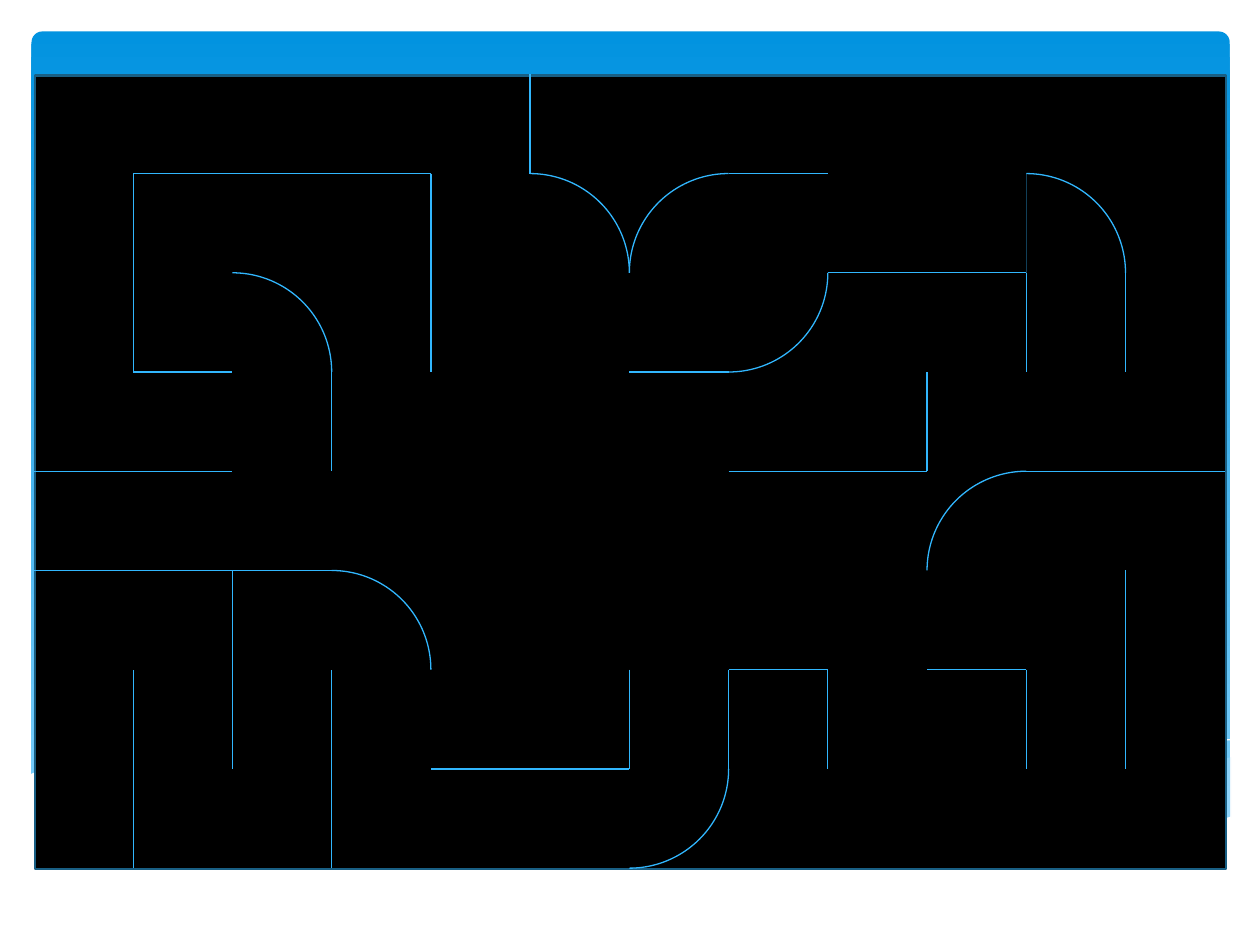
from lxml.etree import SubElement
from pptx import Presentation
from pptx.dml.color import RGBColor
from pptx.enum.shapes import MSO_CONNECTOR as CONN, MSO_SHAPE as SHAPE
from pptx.oxml.ns import qn
from pptx.util import Inches, Pt

COLORS = {
    "sky": "0293E0", "pale": "83D3FE", "mist": "C6E7FC", "white": "FFFFFF",
    "board": "000000", "frame": "195F84", "track": "31B6FD",
}
COLS, ROWS = 12, 8
BOARD = (0.28, 0.6, 9.45, 6.3)
CELL = BOARD[3] / ROWS
GRID_X, GRID_Y = 0.27, 0.59

# Straight tracks: column, row, column, row. Arcs: column, row, rotation.
LEFT_LINES = [
    (0, 5, 2, 5), (2, 5, 2, 7), (1, 8, 1, 6), (3, 8, 3, 6), (4, 2, 4, 3),
    (0, 4, 2, 4), (10, 1, 10, 3), (11, 5, 11, 7), (5, 0, 5, 1), (3, 3, 3, 4),
]
LOWER_ARCS = [(6, 1, 90), (2, 5, 0), (1, 2, 0), (5, 6, 90), (9, 4, 270)]
MIDDLE_LINES = [
    (2, 5, 3, 5), (1, 1, 3, 1), (8, 2, 10, 2), (7, 6, 8, 6), (8, 6, 8, 7),
    (9, 6, 10, 6), (10, 6, 10, 7), (9, 3, 9, 4), (10, 4, COLS, 4),
    (7, 4, 9, 4), (6, 6, 6, 7), (6, 3, 7, 3),
]
UPPER_ARCS = [(9, 1, 0), (6, 1, 270), (4, 1, 0)]
TOP_LINES = [
    (7, 6, 7, 7), (3, 1, 4, 1), (4, 1, 4, 2), (8, 1, 7, 1), (11, 2, 11, 3),
    (1, 3, 2, 3), (4, 7, 6, 7), (1, 1, 1, 3),
]

MIST_WAVE = [
    (9.77, 6.01), (9.36, 6.09), (8.92, 6.18), (8.34, 6.32), (7.8, 6.44),
    (7.3, 6.55), (6.62, 6.67), (7.06, 6.73), (7.58, 6.78), (8.15, 6.8),
    (8.64, 6.77), (9.07, 6.71), (9.44, 6.61), (9.77, 6.49),
]
WAVE_LINE = [
    (6.14, 6.59), (6.53, 6.48), (6.96, 6.37), (7.49, 6.25), (8.07, 6.12),
    (8.67, 6), (8.97, 5.96), (9.25, 5.92), (9.52, 5.89), (9.76, 5.87),
]
WHITE_WAVE = [
    (9.77, 6.48), (9.4, 6.61), (8.99, 6.71), (8.5, 6.77), (8.09, 6.79),
    (7.61, 6.77), (7.08, 6.72), (6.48, 6.64), (5.79, 6.51), (5.03, 6.35),
    (4.18, 6.15), (3.65, 6.04), (3.16, 5.96), (2.5, 5.88), (1.93, 5.86),
    (1.46, 5.87), (1.06, 5.91), (0.76, 5.97), (0.46, 6.05), (0.23, 6.15),
    (0.23, 7.31), (9.77, 7.31),
]


def rgb(name):
    return RGBColor.from_string(COLORS[name])


def paint(sp, fill=None, line=None, width=0.75):
    sp.shadow.inherit = False
    if fill:
        sp.fill.solid()
        sp.fill.fore_color.rgb = rgb(fill)
    else:
        sp.fill.background()
    if line:
        sp.line.color.rgb = rgb(line)
        sp.line.width = Pt(width)
    else:
        sp.line.fill.background()


def add_box(s, kind, box, **style):
    sp = s.shapes.add_shape(kind, *map(Inches, box))
    paint(sp, **style)
    return sp


def add_wave(s, points, closed=True, **style):
    start, *rest = [(Inches(x), Inches(y)) for x, y in points]
    builder = s.shapes.build_freeform(*start)
    builder.add_line_segments(rest, close=closed)
    sp = builder.convert_to_shape()
    paint(sp, **style)
    return sp


def set_opacity(sp, percent):
    color = sp.fill._xPr.find(qn("a:solidFill"))[0]
    SubElement(color, qn("a:alpha")).set("val", str(percent * 1000))


def add_backdrop(s):
    sp = add_box(s, SHAPE.ROUNDED_RECTANGLE, (0.25, 0.25, 9.51, 6.6))
    sp.adjustments[0] = 0.013
    sp.fill.gradient()
    sp.fill.gradient_angle = 270
    for stop, name, place in zip(sp.fill.gradient_stops, ("sky", "pale"), (0, 1)):
        stop.color.rgb = rgb(name)
        stop.position = place
    set_opacity(add_wave(s, MIST_WAVE, fill="mist"), 29)
    add_wave(s, WAVE_LINE, closed=False, line="white", width=0)
    add_wave(s, WHITE_WAVE, fill="white")


def grid_point(col, row):
    return GRID_X + col * CELL, GRID_Y + row * CELL


def add_tracks(s, tracks):
    for c1, r1, c2, r2 in tracks:
        ends = grid_point(c1, r1) + grid_point(c2, r2)
        line = s.shapes.add_connector(CONN.STRAIGHT, *map(Inches, ends))
        line.line.color.rgb = rgb("track")
        line.line.width = Pt(0.75)
        SubElement(line._element.spPr, qn("a:effectLst"))


def add_arcs(s, arcs):
    """Each arc is a quarter circle inside a square of two by two cells."""
    for col, row, turn in arcs:
        box = (*grid_point(col, row), 2 * CELL, 2 * CELL)
        sp = add_box(s, SHAPE.ARC, box, fill="board", line="track")
        sp.rotation = turn


def main():
    prs = Presentation()
    prs.slide_width, prs.slide_height = Inches(10), Inches(7.5)
    s = prs.slides.add_slide(prs.slide_layouts[6])
    add_backdrop(s)
    add_box(s, SHAPE.RECTANGLE, BOARD, fill="board", line="frame", width=1.25)
    add_tracks(s, LEFT_LINES)
    add_arcs(s, LOWER_ARCS)
    add_tracks(s, MIDDLE_LINES)
    add_arcs(s, UPPER_ARCS)
    add_tracks(s, TOP_LINES)
    prs.save("out.pptx")


if __name__ == "__main__":
    main()
